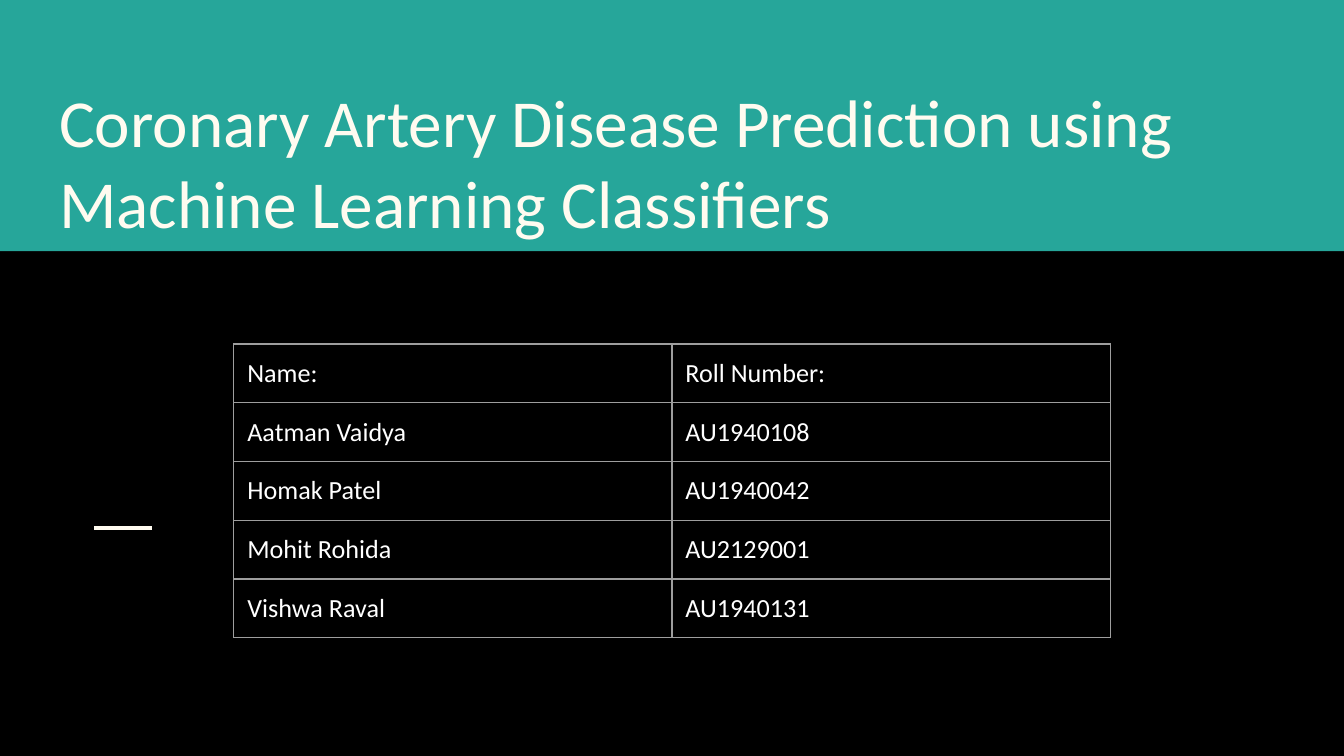
from pptx import Presentation
from pptx.dml.color import RGBColor
from pptx.enum import shapes, text
from pptx.oxml import parse_xml
from pptx.oxml import ns
from pptx.util import Inches, Pt

BLACK = RGBColor(0x00, 0x00, 0x00)
WHITE = RGBColor(0xFF, 0xFF, 0xFF)
CREAM = RGBColor(0xFF, 0xFB, 0xF0)
TEAL = RGBColor(0x26, 0xA6, 0x9A)
GREY = RGBColor(0x9E, 0x9E, 0x9E)

INSET = Inches(0.1)
MARGINS = dict.fromkeys(
    ("margin_left", "margin_top", "margin_right", "margin_bottom"), INSET)
TITLE_FRAME = {**MARGINS, "word_wrap": True,
               "auto_size": text.MSO_AUTO_SIZE.NONE,
               "vertical_anchor": text.MSO_ANCHOR.BOTTOM}

TITLE = "Coronary Artery Disease Prediction using Machine Learning Classifiers"
MEMBERS = [
    ("Name:", "Roll Number:"),
    ("Aatman Vaidya", "AU1940108"),
    ("Homak Patel", "AU1940042"),
    ("Mohit Rohida", "AU2129001"),
    ("Vishwa Raval", "AU1940131"),
]


def apply(target, values):
    for name, value in values.items():
        setattr(target, name, value)


def write(frame, words, size, color):
    paragraph = frame.paragraphs[0]
    paragraph.alignment = text.PP_ALIGN.LEFT
    run = paragraph.add_run()
    run.text = words
    apply(run.font, {"name": "Calibri", "size": Pt(size)})
    run.font.color.rgb = color


def add_band(slide, width, height):
    band = slide.shapes.add_shape(
        shapes.MSO_SHAPE.RECTANGLE, 0, 0, width, height)
    band.shadow.inherit = False
    band.fill.solid()
    band.fill.fore_color.rgb = TEAL
    band.line.fill.background()


def add_accent(slide, left, right, y):
    accent = slide.shapes.add_connector(
        shapes.MSO_CONNECTOR.STRAIGHT, left, y, right, y)
    accent.line.color.rgb = CREAM
    accent.line.width = Pt(2.25)
    accent._element.spPr.append(
        parse_xml(f"<a:effectLst {ns.nsdecls('a')}/>"))


def place_title(slide):
    title = slide.shapes.title
    apply(title, {"left": Inches(0.34), "top": Inches(0.41),
                  "width": Inches(9.32), "height": Inches(1.49)})
    apply(title.text_frame, TITLE_FRAME)
    write(title.text_frame, TITLE, 36, CREAM)
    # Bring the title in front of the band
    slide.shapes._spTree.append(title._element)


def add_borders(cell):
    properties = cell._tc.get_or_add_tcPr()
    for index, side in enumerate(("lnL", "lnR", "lnT", "lnB")):
        properties.insert(index, parse_xml(
            f'<a:{side} {ns.nsdecls("a")} w="{Pt(0.75)}"><a:solidFill>'
            f'<a:srgbClr val="{GREY}"/></a:solidFill></a:{side}>'))


def add_members(slide):
    column_width, row_height = Inches(3.26), Inches(0.42)
    members = slide.shapes.add_table(
        len(MEMBERS), 2, Inches(1.74), Inches(2.56),
        2 * column_width, len(MEMBERS) * row_height).table
    apply(members, {"first_row": False, "horz_banding": False})
    for row, entries in enumerate(MEMBERS):
        for column, entry in enumerate(entries):
            cell = members.cell(row, column)
            apply(cell, MARGINS)
            cell.fill.background()
            add_borders(cell)
            write(cell.text_frame, entry, 14, WHITE)


def main():
    deck = Presentation()
    # Widescreen, 16:9
    deck.slide_width = Inches(10)
    deck.slide_height = deck.slide_width * 9 // 16
    slide = deck.slides.add_slide(deck.slide_layouts[5])
    slide.background.fill.solid()
    slide.background.fill.fore_color.rgb = BLACK

    # Header band and accent rule
    add_band(slide, deck.slide_width, Inches(1.87))
    add_accent(slide, Inches(0.7), Inches(1.13), Inches(3.93))

    # Title and team members
    place_title(slide)
    add_members(slide)
    deck.save("out.pptx")


main()
